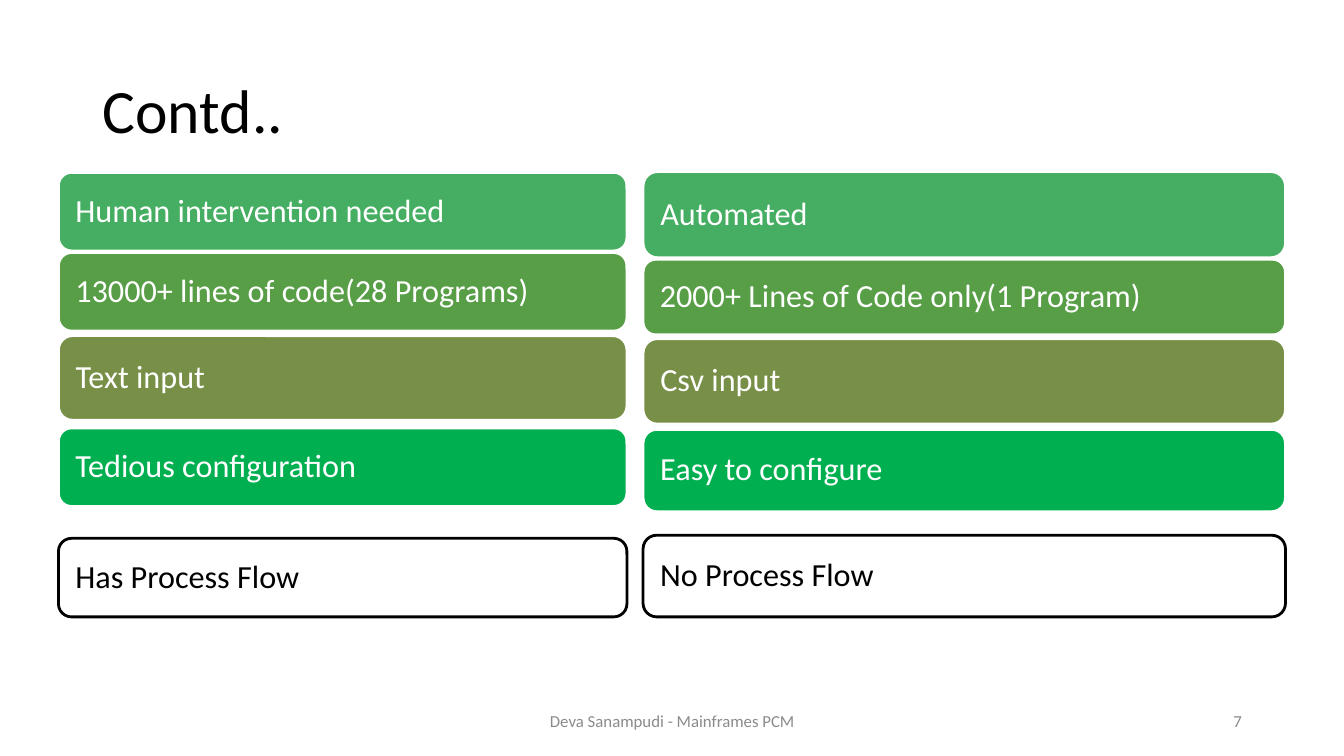
from pptx import Presentation
from pptx.dml.color import RGBColor
from pptx.enum.shapes import MSO_SHAPE as Shape
from pptx.enum.text import MSO_ANCHOR as Anchor, PP_ALIGN as Align
from pptx.util import Inches, Pt

BLACK = RGBColor(0x00, 0x00, 0x00)
WHITE = RGBColor(0xFF, 0xFF, 0xFF)
GREY = RGBColor(0x8B, 0x8B, 0x8B)
MINT = RGBColor(0x45, 0xAE, 0x62)
LEAF = RGBColor(0x57, 0x9E, 0x46)
OLIVE = RGBColor(0x77, 0x8F, 0x46)
GREEN = RGBColor(0x00, 0xB0, 0x50)


class SlideBuilder:
    """Holds the style and the slide; lengths are percentages of its size."""

    font = "Calibri"
    card_size = 23
    line_spacing = 0.9

    def __init__(self, deck):
        """Add a blank slide to the deck."""
        self.width, self.height = deck.slide_width, deck.slide_height
        self.slide = deck.slides.add_slide(deck.slide_layouts[6])

    def place(self, left, top, width, height):
        """Turn percentages of the slide into lengths."""
        return (round(left * self.width / 100), round(top * self.height / 100),
                round(width * self.width / 100), round(height * self.height / 100))

    def set_text(self, shape, text, size, color, align=Align.LEFT):
        """Set and format one vertically centred paragraph."""
        frame = shape.text_frame
        frame.word_wrap = True
        frame.vertical_anchor = Anchor.MIDDLE
        frame.text = text
        paragraph = frame.paragraphs[0]
        paragraph.alignment = align
        font = paragraph.runs[0].font
        font.name, font.size = self.font, Pt(size)
        font.color.rgb = color
        return paragraph

    def label(self, box, text, size, color, align=Align.LEFT):
        """Add a plain text box."""
        shape = self.slide.shapes.add_textbox(*self.place(*box))
        return self.set_text(shape, text, size, color, align)

    def card(self, box, text, fill, line, ink):
        """Add a rounded card with left-aligned text."""
        shape = self.slide.shapes.add_shape(Shape.ROUNDED_RECTANGLE, *self.place(*box))
        shape.shadow.inherit = False
        shape.fill.solid()
        shape.fill.fore_color.rgb = fill
        shape.line.color.rgb = line
        shape.line.width = Pt(2)
        frame = shape.text_frame
        frame.margin_left = frame.margin_top = frame.margin_bottom = Inches(0.13)
        paragraph = self.set_text(shape, text, self.card_size, ink)
        paragraph.line_spacing = self.line_spacing
        paragraph.space_after = Pt(8.1)


# Fill, outline and text colour of each compared aspect, top to bottom
ASPECT_COLORS = [(fill, WHITE, WHITE) for fill in (MINT, LEAF, OLIVE, GREEN)]
ASPECT_COLORS.append((WHITE, BLACK, BLACK))

# Left and width of each process, then top, height and text of its cards
PROCESSES = [
    (4.35, 42.3, [
        (22.8, 10.4, "Human intervention needed"),
        (33.4, 10.4, "13000+ lines of code(28 Programs)"),
        (44.4, 11.2, "Text input"),
        (56.6, 10.4, "Tedious configuration"),
        (71.2, 10.4, "Has Process Flow"),
    ]),
    (47.85, 47.8, [
        (22.7, 11.4, "Automated"),
        (34.3, 10, "2000+ Lines of Code only(1 Program)"),
        (44.8, 11.3, "Csv input"),
        (56.8, 10.9, "Easy to configure"),
        (70.8, 10.8, "No Process Flow"),
    ]),
]

deck = Presentation()
deck.slide_width, deck.slide_height = Inches(13.33), Inches(7.5)
page = SlideBuilder(deck)

title = page.label((6.9, 5.33, 86.25, 19.33), "Contd..", 44, BLACK)
title.line_spacing = page.line_spacing

for left, width, cards in PROCESSES:
    for (top, height, text), colors in zip(cards, ASPECT_COLORS):
        page.card((left, top, width, height), text, *colors)

FOOTER_TOP, FOOTER_HEIGHT = 92.67, 5.33
page.label((33.15, FOOTER_TOP, 33.75, FOOTER_HEIGHT),
           "Deva Sanampudi - Mainframes PCM", 12, GREY, Align.CENTER)
page.label((70.65, FOOTER_TOP, 22.5, FOOTER_HEIGHT), "7", 12, GREY, Align.RIGHT)

deck.save("out.pptx")
